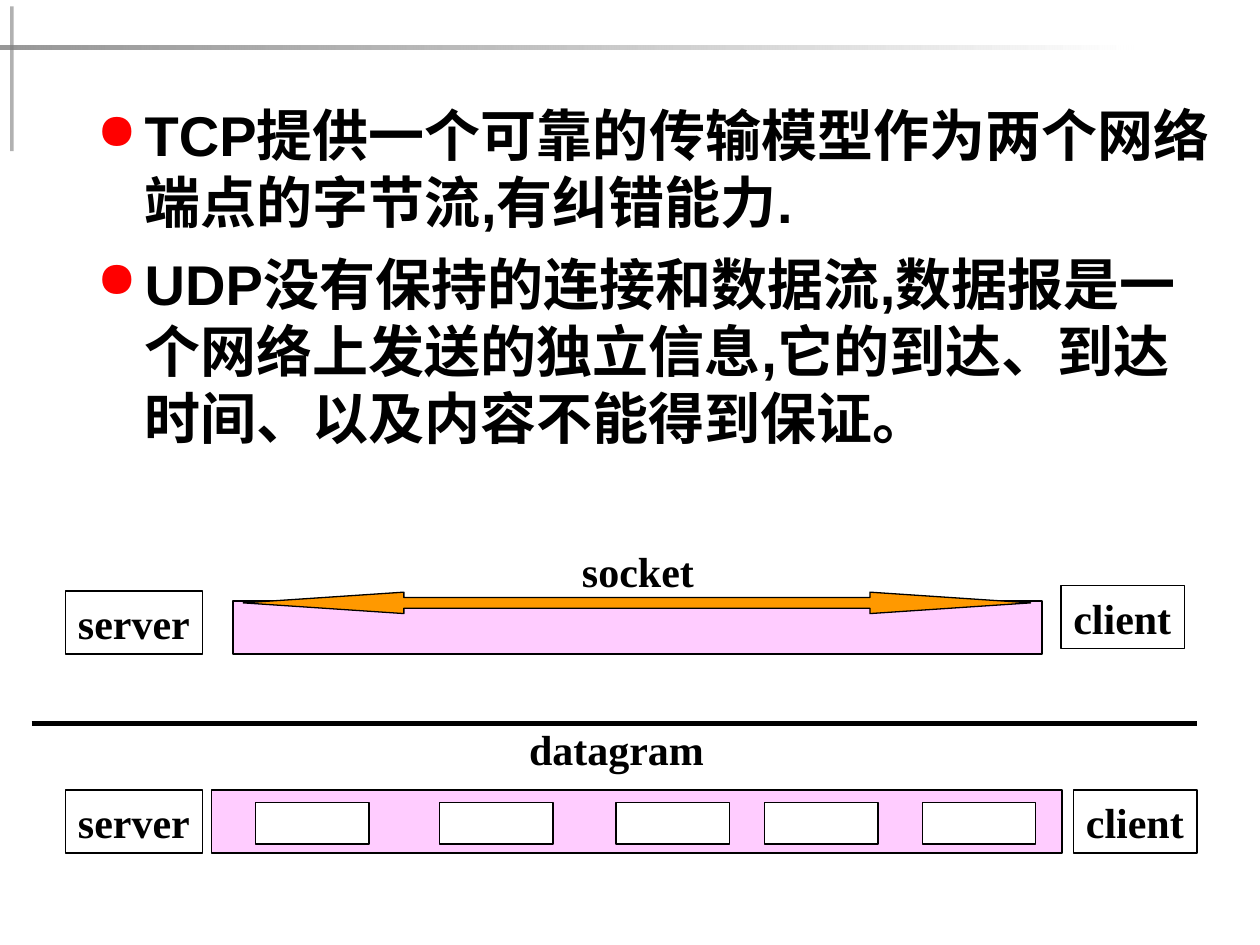
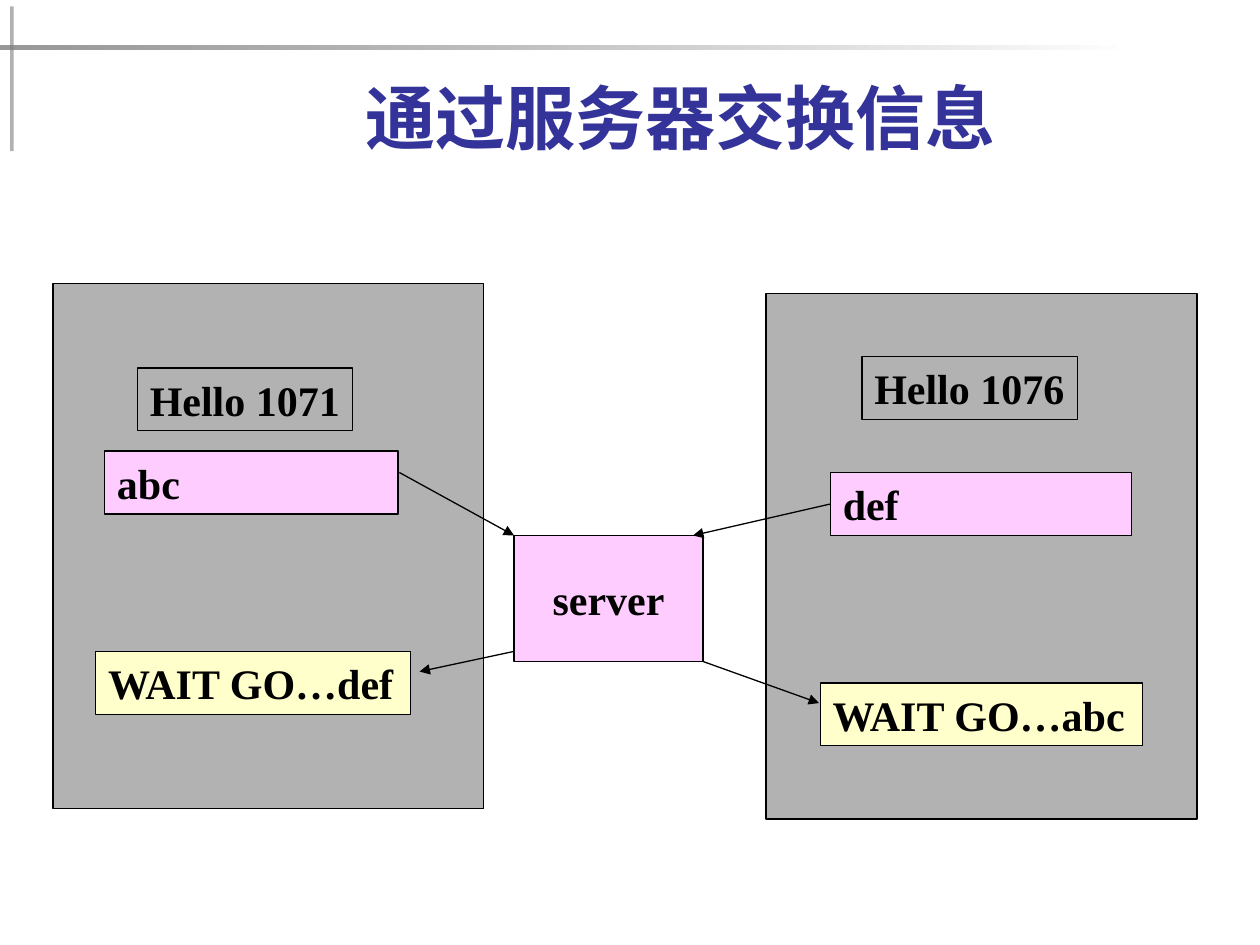
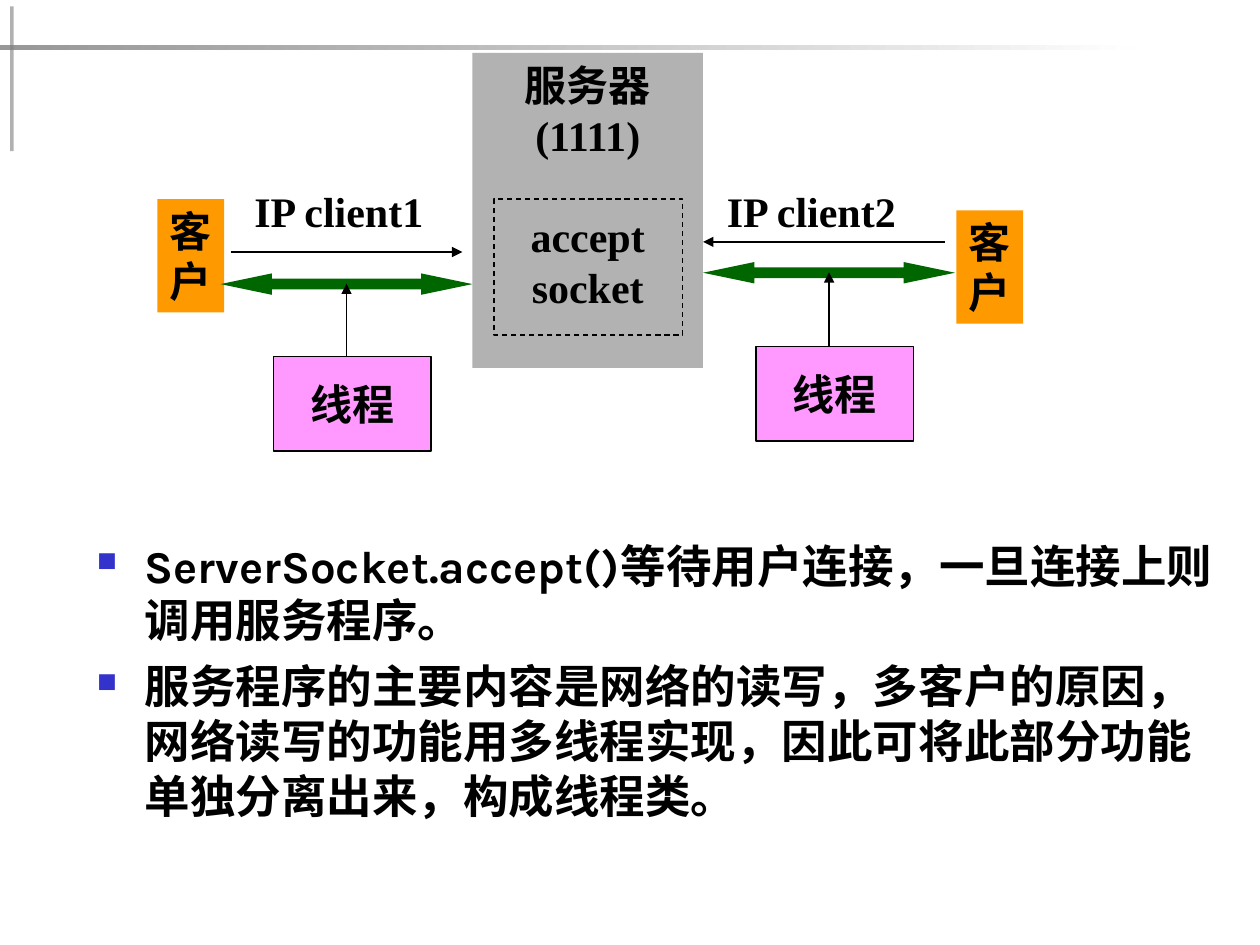
from pptx import Presentation
from pptx.dml.color import RGBColor
from pptx.enum.dml import MSO_LINE
from pptx.enum.shapes import MSO_CONNECTOR, MSO_SHAPE
from pptx.enum.text import MSO_ANCHOR, PP_ALIGN
from pptx.oxml.ns import qn
from pptx.util import Inches, Pt
from lxml import etree

RECT = MSO_SHAPE.RECTANGLE
DOUBLE = MSO_SHAPE.LEFT_RIGHT_ARROW
LINE = MSO_CONNECTOR.STRAIGHT
DASH = MSO_LINE.DASH
LEFT, CENTER = PP_ALIGN.LEFT, PP_ALIGN.CENTER
TOP, MIDDLE, BOTTOM = MSO_ANCHOR.TOP, MSO_ANCHOR.MIDDLE, MSO_ANCHOR.BOTTOM

SERIF, SANS, BODY = "Times New Roman", "Arial", "Karla"
BLACK, WHITE, GRAY = "000000", "FFFFFF", "B2B2B2"
PINK, ROSE, CREAM = "FFCCFF", "FF99FF", "FFFFCC"
ORANGE, GREEN, NAVY = "FF9900", "006600", "333399"


def color(code):
    return RGBColor.from_string(code)


def child(node, tag, **attrs):
    return etree.SubElement(node, qn(tag), attrs)


def fade(fill, percent):
    for node in fill.iter(qn("a:srgbClr")):
        child(node, "a:alpha", val=str(percent * 1000))
        break


def write(shape, lines, size=24, font=SERIF, ink=BLACK, align=LEFT,
          anchor=TOP, wrap=False):
    frame = shape.text_frame
    frame.word_wrap = wrap
    frame.vertical_anchor = anchor
    frame.text = "\n".join(lines)
    for para in frame.paragraphs:
        para.alignment = align
        para.font.size = Pt(size)
        para.font.name = font
        para.font.bold = True
        para.font.color.rgb = color(ink)
    return frame


def box(slide, at, fill=None, line=BLACK, kind=RECT):
    shape = slide.shapes.add_shape(kind, *map(Inches, at))
    shape.shadow.inherit = False
    if fill:
        shape.fill.solid()
        shape.fill.fore_color.rgb = color(fill)
    else:
        shape.fill.background()
    if line:
        shape.line.color.rgb = color(line)
        shape.line.width = Pt(0.75)
    else:
        shape.line.fill.background()
    return shape


def label(slide, at, lines, **style):
    shape = slide.shapes.add_textbox(*map(Inches, at))
    return write(shape, lines, **style)


def double(slide, at, fill, head, line=None):
    shape = box(slide, at, fill, line, DOUBLE)
    shape.adjustments[0] = 0.5
    shape.adjustments[1] = head


def link(slide, start, end, width=0.75, arrow=True):
    line = slide.shapes.add_connector(LINE, *map(Inches, start + end))
    line.line.color.rgb = color(BLACK)
    line.line.width = Pt(width)
    props = line._element.spPr
    if arrow:
        child(props.find(qn("a:ln")), "a:tailEnd", type="triangle")
    child(props, "a:effectLst")
    return line


def bullets(slide, at, lines, mark, tint, scale, gap, **style):
    shape = slide.shapes.add_textbox(*map(Inches, at))
    for para in shape.text_frame.paragraphs:
        para.text = ""
    frame = shape.text_frame
    for _ in lines[1:]:
        frame.add_paragraph()
    frame = write(shape, lines, wrap=True, **style)
    for index, para in enumerate(frame.paragraphs):
        props = para._p.get_or_add_pPr()
        props.set("marL", str(Inches(0.38)))
        props.set("indent", str(-Inches(0.38)))
        parts = [etree.Element(qn("a:buClr")),
                 etree.Element(qn("a:buSzPct"), val=str(scale * 1000)),
                 etree.Element(qn("a:buChar"), char=mark)]
        child(parts[0], "a:srgbClr", val=tint)
        for spot, part in enumerate(parts):
            props.insert(spot, part)
        if index:
            para.space_before = Pt(gap)


def page(deck):
    slide = deck.slides.add_slide(deck.slide_layouts[6])
    post = box(slide, (0.08, 0.05, 0.03, 1.15), "1C1C1C", None)
    fade(post._element.spPr, 34)
    band = box(slide, (0, 0.36, 9, 0.03), WHITE, None)
    band.fill.gradient()
    band.fill.gradient_angle = 0
    for stop, code in zip(band.fill.gradient_stops, ("808080", WHITE)):
        stop.color.rgb = color(code)
    fade(band._element.spPr, 81)
    return slide


def compare(deck):
    slide = page(deck)
    bullets(slide, (0.67, 0.75, 9.08, 5.83), [
        "TCP提供一个可靠的传输模型作为两个网络端点的字节流,有纠错能力.",
        "UDP没有保持的连接和数据流,数据报是一个网络上发送的独立信息,"
        "它的到达、到达时间、以及内容不能得到保证。",
    ], "●", "FF0000", 90, 8, size=32, font=SANS)
    box(slide, (1.85, 4.77, 6.42, 0.42), PINK)
    label(slide, (4.52, 4.28, 1.09, 0.5), ["socket"])
    box(slide, (1.68, 6.27, 6.75, 0.5), PINK)
    for left in (2.03, 3.49, 4.89, 6.07, 7.32):
        box(slide, (left, 6.37, 0.9, 0.33), WHITE)
    double(slide, (1.93, 4.7, 6.25, 0.17), ORANGE, 7.5, BLACK)
    link(slide, (0.25, 5.74), (9.5, 5.74), 3, False)
    label(slide, (4.1, 5.69, 1.59, 0.5), ["datagram"])
    for top in (4.69, 6.27):
        write(box(slide, (0.52, top, 1.09, 0.5), WHITE), ["server"])
    for left, top in ((8.42, 4.65), (8.52, 6.27)):
        write(box(slide, (left, top, 0.98, 0.5)), ["client"])


def exchange(deck):
    slide = page(deck)
    label(slide, (1.14, 0.52, 8.52, 0.79), ["通过服务器交换信息"], size=40,
          font=BODY, ink=NAVY, align=CENTER, anchor=BOTTOM, wrap=True)
    server = box(slide, (4.08, 4.25, 1.5, 1), PINK)
    write(server, ["server"], align=CENTER, anchor=MIDDLE)
    for left, top in ((6.08, 2.33), (0.42, 2.25)):
        box(slide, (left, top, 3.42, 4.17), GRAY)
    for left, top, text in ((6.84, 2.83, "Hello 1076"),
                            (1.09, 2.92, "Hello 1071")):
        write(box(slide, (left, top, 1.71, 0.5)), [text])
    fields = {}
    for left, top, width, fill, text in (
            (0.83, 3.58, 2.33, PINK, "abc"),
            (6.59, 3.75, 2.39, PINK, "def"),
            (6.51, 5.42, 2.56, CREAM, "WAIT GO…abc"),
            (0.76, 5.17, 2.5, CREAM, "WAIT GO…def")):
        fields[text] = box(slide, (left, top, width, 0.5), fill)
        write(fields[text], [text], wrap=True)
    link(slide, (3.17, 3.75), (4.08, 4.25))
    link(slide, (5.58, 5.25), (6.5, 5.58))
    link(slide, (4.08, 5.17), (3.33, 5.33))
    reply = link(slide, (6.59, 4), (5.5, 4.25))
    reply.begin_connect(fields["def"], 1)


def threads(deck):
    slide = page(deck)
    bullets(slide, (0.67, 4.22, 9.12, 2.48), [
        "ServerSocket.accept()等待用户连接，一旦连接上则调用服务程序。",
        "服务程序的主要内容是网络的读写，多客户的原因，网络读写的功能用"
        "多线程实现，因此可将此部分功能单独分离出来，构成线程类。",
    ], "■", "3333CC", 60, 6.5, size=26, font=BODY)
    server = box(slide, (3.75, 0.42, 1.83, 2.5), GRAY, None)
    frame = write(server, ["服务器", "(1111)", "accept", "socket"],
                  align=CENTER, wrap=True)
    frame.paragraphs[2].space_before = Pt(29)
    box(slide, (3.92, 1.58, 1.5, 1.08)).line.dash_style = DASH
    for user, name, text, start, end, pipe, stem, task in (
            ((1.25, 1.58), 1.92, "IP client1", (1.83, 2), (3.67, 2),
             (1.75, 2.17), 2.75, (2.17, 2.83)),
            ((7.59, 1.67), 5.67, "IP client2", (7.5, 1.92), (5.58, 1.92),
             (5.58, 2.08), 6.58, (6, 2.75))):
        write(box(slide, user + (0.53, 0.9), ORANGE, None), ["客", "户"])
        label(slide, (name, 1.42, 1.64, 0.5), [text], wrap=True)
        link(slide, start, end)
        double(slide, pipe + (2, 0.17), GREEN, 2.4)
        link(slide, (stem, task[1]), (stem, pipe[1] + 0.08))
        write(box(slide, task + (1.25, 0.75), ROSE), ["线程"],
              align=CENTER, anchor=MIDDLE)


def main():
    deck = Presentation()
    deck.slide_width = Inches(10)
    deck.slide_height = Inches(7.5)
    compare(deck)
    exchange(deck)
    threads(deck)
    deck.save("out.pptx")


if __name__ == "__main__":
    main()
